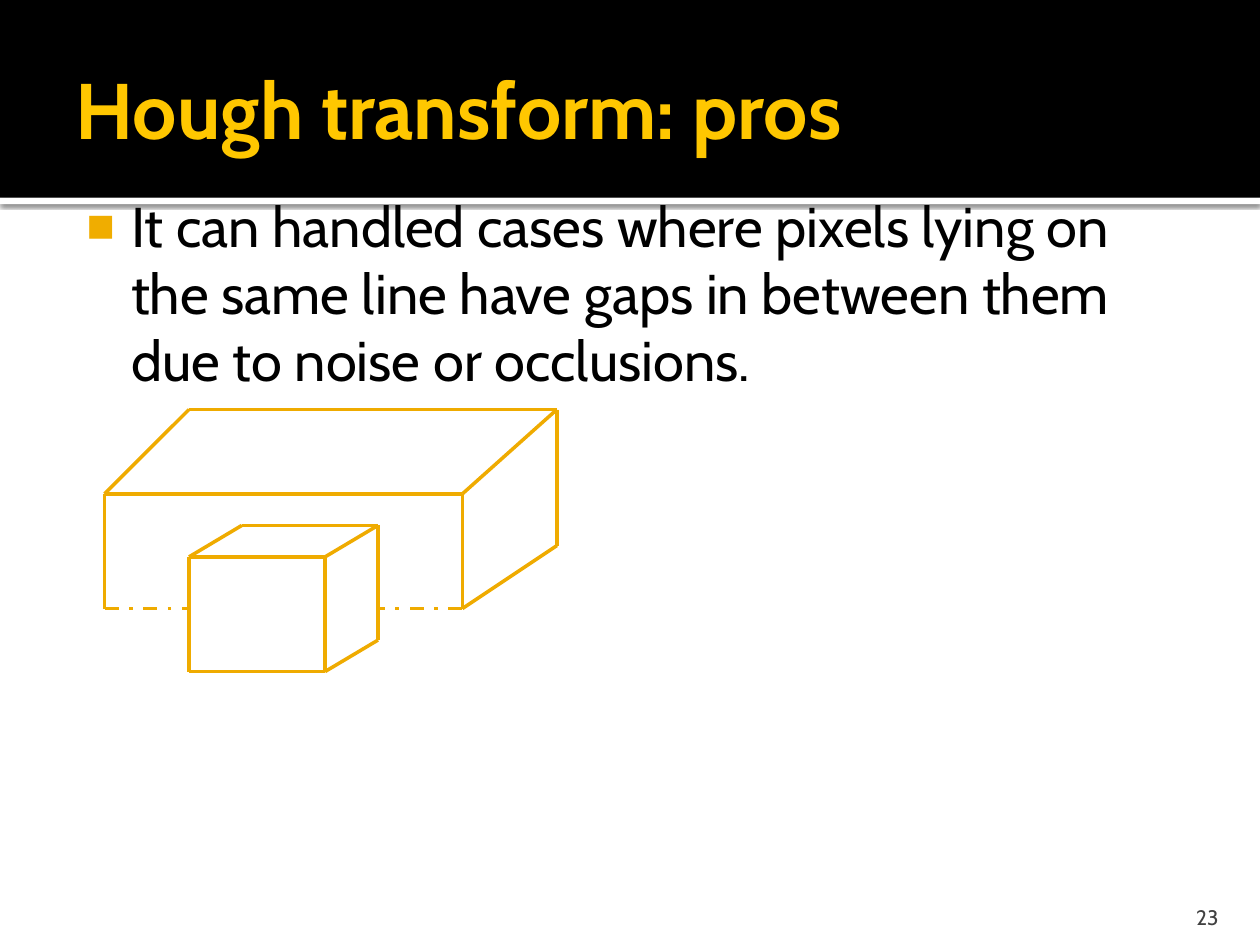
from dataclasses import dataclass
from itertools import pairwise

from lxml.etree import SubElement
from pptx import Presentation
from pptx.dml.color import RGBColor
from pptx.enum.dml import MSO_LINE
from pptx.enum.shapes import MSO_CONNECTOR, MSO_SHAPE
from pptx.enum.text import MSO_ANCHOR, MSO_AUTO_SIZE, PP_ALIGN
from pptx.oxml.ns import qn
from pptx.slide import Slide
from pptx.util import Inches, Pt


def color(hex_code):
    return RGBColor.from_string(hex_code)


def write(frame, text, size, hue, font="Cabin", bold=False, align=PP_ALIGN.LEFT,
          anchor=MSO_ANCHOR.TOP, insets=(0.1, 0.05, 0.1, 0.05)):
    frame.word_wrap = True
    frame.auto_size = MSO_AUTO_SIZE.NONE
    frame.vertical_anchor = anchor
    (frame.margin_left, frame.margin_top,
     frame.margin_right, frame.margin_bottom) = map(Inches, insets)
    paragraph = frame.paragraphs[0]
    paragraph.alignment = align
    paragraph.space_before = Pt(0)
    run = paragraph.add_run()
    run.text = text
    run.font.name = font
    run.font.size = Pt(size)
    run.font.bold = bold
    run.font.color.rgb = color(hue)
    return paragraph


@dataclass
class SlideBuilder:
    """Holds the colours and the slide being built."""

    slide: Slide
    accent: str = "F0AD00"
    edge: str = "EFAB00"

    def band(self, top, height, hue, shadow=False):
        band = self.slide.shapes.add_shape(
            MSO_SHAPE.RECTANGLE, 0, Inches(top), Inches(10), Inches(height))
        band.fill.solid()
        band.fill.fore_color.rgb = color(hue)
        band.line.fill.background()
        band.shadow.inherit = False
        if shadow:
            effects = band._element.spPr.find(qn("a:effectLst"))
            outer = SubElement(effects, qn("a:outerShdw"), blurRad=str(Pt(2.5)),
                               dist=str(Pt(0.8)), dir="5400000", rotWithShape="0")
            shade = SubElement(outer, qn("a:srgbClr"), val="000000")
            SubElement(shade, qn("a:alpha"), val="60000")

    def placeholder(self, index, bounds, text, **style):
        holder = self.slide.placeholders[index]
        holder.left, holder.top, holder.width, holder.height = map(Inches, bounds)
        self.slide.shapes._spTree.append(holder._element)
        return write(holder.text_frame, text, **style)

    def bullet(self, paragraph, symbol, margin, indent):
        properties = paragraph._p.get_or_add_pPr()
        properties.set("marL", str(Inches(margin)))
        properties.set("indent", str(Inches(indent)))
        hue = SubElement(properties, qn("a:buClr"))
        SubElement(hue, qn("a:srgbClr"), val=self.accent)
        SubElement(properties, qn("a:buSzPct"), val="80000")
        SubElement(properties, qn("a:buChar"), char=symbol)

    def label(self, bounds, text, **style):
        box = self.slide.shapes.add_textbox(*map(Inches, bounds))
        write(box.text_frame, text, **style)

    def edges(self, *corners, dash=None):
        for start, end in pairwise(corners):
            edge = self.slide.shapes.add_connector(
                MSO_CONNECTOR.STRAIGHT, *map(Inches, start + end))
            edge.line.color.rgb = color(self.edge)
            edge.line.width = Pt(2)
            if dash:
                edge.line.dash_style = dash
            SubElement(edge._element.spPr, qn("a:effectLst"))


def main():
    deck = Presentation()
    deck.slide_width, deck.slide_height = Inches(10), Inches(7.5)
    builder = SlideBuilder(deck.slides.add_slide(deck.slide_layouts[1]))

    builder.band(1.57, 0.05, "FFFFFF", shadow=True)
    builder.band(0, 1.57, "000000")
    builder.placeholder(0, (0.5, 0.17, 9, 1.37), "Hough transform: pros",
                        size=45, hue="FFC700", bold=True, anchor=MSO_ANCHOR.MIDDLE,
                        insets=(0.1, 0.05, 0.05, 0.05))
    advantage = builder.placeholder(
        1, (0.5, 1.42, 9, 4.95),
        "It can handled cases where pixels lying on the same line have gaps "
        "in between them due to noise or occlusions.",
        size=32, hue="000000", insets=(0.06, 0.1, 0.1, 0.05))
    builder.bullet(advantage, "◼", 0.48, -0.35)

    slab_left, slab_right = (0.83, 3.92), (3.67, 3.92)
    slab_back = (4.42, 3.25)
    slab_foot_left, slab_foot_right = (0.83, 4.83), (3.67, 4.83)
    builder.edges(slab_foot_left, slab_left, (1.5, 3.25), slab_back,
                  (4.42, 4.33), slab_foot_right, slab_right, slab_left)
    builder.edges(slab_right, slab_back)

    cube_left, cube_right = (1.5, 4.42), (2.58, 4.42)
    cube_back, cube_foot = (3, 4.17), (2.58, 5.33)
    builder.edges(cube_left, (1.92, 4.17), cube_back, (3, 5.08), cube_foot,
                  (1.5, 5.33), cube_left, cube_right, cube_foot)
    builder.edges(cube_right, cube_back)

    for foot, occlusion in ((slab_foot_left, 1.5), (slab_foot_right, 3)):
        builder.edges(foot, (occlusion, 4.83), dash=MSO_LINE.DASH_DOT)

    builder.label((8.97, 7.08, 0.8, 0.3), "23", size=12, hue="414141",
                  align=PP_ALIGN.RIGHT, anchor=MSO_ANCHOR.BOTTOM,
                  insets=(0.1, 0.05, 0.1, 0))
    deck.save("out.pptx")


if __name__ == "__main__":
    main()
